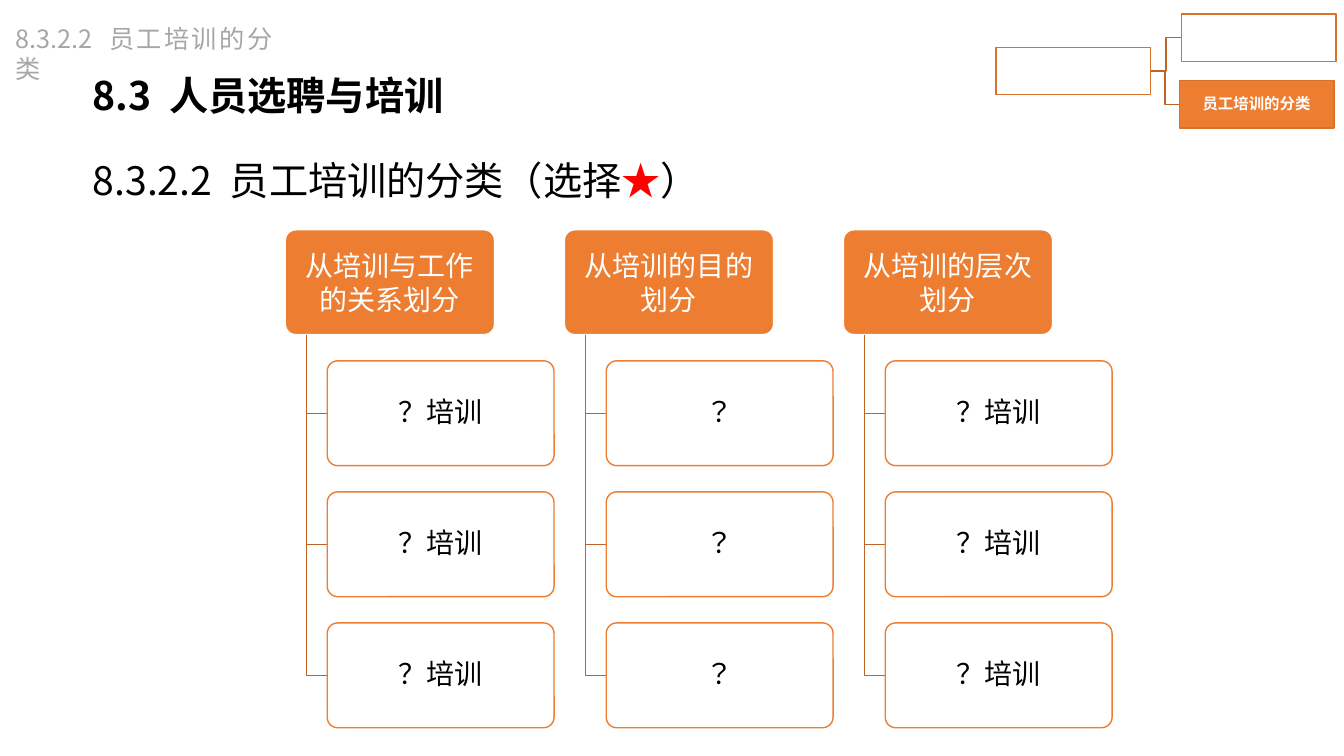
from lxml import etree
from pptx import Presentation, util as u
from pptx.dml.color import RGBColor
from pptx.enum import shapes, text
from pptx.oxml import ns

ORANGE = RGBColor(0xED, 0x7D, 0x31)
EDGE = RGBColor(0xD7, 0x71, 0x2C)
LINK = RGBColor(0xBE, 0x64, 0x27)
GREY = RGBColor(0xA6, 0xA6, 0xA6)
RED = RGBColor(0xFF, 0, 0)
WHITE = RGBColor(0xFF, 0xFF, 0xFF)
BLACK = RGBColor(0, 0, 0)
SC, JP = "Noto Sans CJK SC", "Noto Sans CJK JP"
MID, TOP = text.MSO_ANCHOR.MIDDLE, text.MSO_ANCHOR.TOP
LEFT, MITTE, JUST = text.PP_ALIGN.LEFT, text.PP_ALIGN.CENTER, text.PP_ALIGN.JUSTIFY
RECT, ROUND = shapes.MSO_SHAPE.RECTANGLE, shapes.MSO_SHAPE.ROUNDED_RECTANGLE


def write(shape, words, size=20, font=JP, color=BLACK, bold=False, align=MITTE,
          anchor=MID, inset=(0.04, 0.03), lead=0.9, gap=0):
    """Words is a string, or a list of (string, color); gap widens spaces."""
    frame = shape.text_frame
    frame.word_wrap = True
    frame.vertical_anchor = anchor
    frame.margin_left = frame.margin_right = u.Inches(inset[0])
    frame.margin_top = frame.margin_bottom = u.Inches(inset[1])
    para = frame.paragraphs[0]
    para.alignment, para.line_spacing = align, lead
    parts = [(words, color)] if isinstance(words, str) else words
    for part, tint in parts:
        head, space, tail = part.partition(" ")
        for bit in filter(None, (head, space, tail)):
            run = para.add_run()
            run.text = bit
            run.font.size, run.font.bold = u.Pt(size), bold
            run.font.name, run.font.color.rgb = font, tint
            props = run.font._element
            etree.SubElement(props, ns.qn("a:ea")).set("typeface", font)
            if bit == " ":
                props.set("spc", str(round(gap * 100)))


def label(slide, box, words, **form):
    write(slide.shapes.add_textbox(*map(u.Inches, box)), words, **form)


def block(slide, kind, box, fill, line, alpha=None):
    shape = slide.shapes.add_shape(kind, *map(u.Inches, box))
    shape.shadow.inherit = False
    if kind == ROUND:
        shape.adjustments[0] = 0.1
    shape.fill.solid()
    shape.fill.fore_color.rgb = fill
    shape.line.color.rgb, shape.line.width = line, u.Pt(1)
    if alpha:
        tint = shape.fill._xPr.find(ns.qn("a:solidFill"))[0]
        etree.SubElement(tint, ns.qn("a:alpha")).set("val", str(alpha * 1000))
    return shape


def link(slide, *points):
    spots = [(u.Inches(x), u.Inches(y)) for x, y in points]
    path = slide.shapes.build_freeform(*spots[0])
    path.add_line_segments(spots[1:], close=False)
    shape = path.convert_to_shape()
    shape.shadow.inherit = False
    shape.fill.background()
    shape.line.color.rgb, shape.line.width = LINK, u.Pt(1)


def titles(slide, wide, high):
    left = 0.06 * wide
    form = dict(size=28, font=SC, align=LEFT, inset=(0.12, 0.06), gap=6.3)
    label(slide, (left, 1.15, 0.912 * wide, 1.04),
          [("8.3.2.2 员工培训的分类（选择", BLACK), ("★", RED), ("）", BLACK)],
          lead=1.5, **form)
    label(slide, (left, 0.65, 0.859 * wide, 0.59), "8.3 人员选聘与培训",
          bold=True, anchor=TOP, lead=1.0, **form)
    label(slide, (0.06, 0.18, 2.74, 0.4), "8.3.2.2 员工培训的分类", size=18,
          font=SC, color=GREY, align=JUST, anchor=TOP, inset=(0.1, 0.05),
          lead=1.0, gap=4)


def guide(slide, x, y, wide, high):
    """Small tree: a root and two branches, the second one current."""
    w, h = 0.455 * wide, 0.416 * high
    root = (x, y + 0.33)
    upper, lower = (x + wide - w, y), (x + wide - w - 0.02, y + high - h)
    start = (x + w, root[1] + h / 2)
    for left, top in (lower, upper):
        bend, mid = (start[0] + left) / 2, top + h / 2
        link(slide, start, (bend, start[1]), (bend, mid), (left, mid))
    for spot in (root, upper):
        block(slide, RECT, (*spot, w, h), WHITE, EDGE)
    now = block(slide, RECT, (*lower, w, h), ORANGE, EDGE)
    write(now, "员工培训的分类", size=11, font=SC, color=WHITE, bold=True,
          inset=(0.01, 0.01))


def branch(slide, x, y, pitch, step, head, items):
    """One column: a head with its items hanging from a stem."""
    tall = 0.8 * step
    stem, left = x + 0.075 * pitch, x + 0.15 * pitch
    top = block(slide, ROUND, (x, y, 0.75 * pitch, tall), ORANGE, WHITE)
    write(top, head, color=WHITE, lead=u.Pt(24))
    for row, item in enumerate(items, 1):
        down = y + row * step
        mid = down + tall / 2
        link(slide, (stem, y + tall), (stem, mid), (left, mid))
        card = block(slide, ROUND, (left, down, 0.813 * pitch, tall),
                     WHITE, ORANGE, alpha=90)
        write(card, item)


def chart(slide, x, y, wide, high):
    kinds = [("从培训与工作的关系划分", "？培训"),
             ("从培训的目的划分", "？"),
             ("从培训的层次划分", "？培训")]
    pitch, step = wide / 2.963, high / 3.8
    for col, (head, item) in enumerate(kinds):
        branch(slide, x + col * pitch, y, pitch, step, head, [item] * 3)


def main():
    deck = Presentation()
    wide, high = 13.33, 7.5
    deck.slide_width, deck.slide_height = u.Inches(wide), u.Inches(high)
    slide = deck.slides.add_slide(deck.slide_layouts[6])
    titles(slide, wide, high)
    guide(slide, 9.88, 0.14, 3.37, 1.13)
    chart(slide, 2.83, 2.28, 8.2, 4.94)
    deck.save("out.pptx")


if __name__ == "__main__":
    main()
